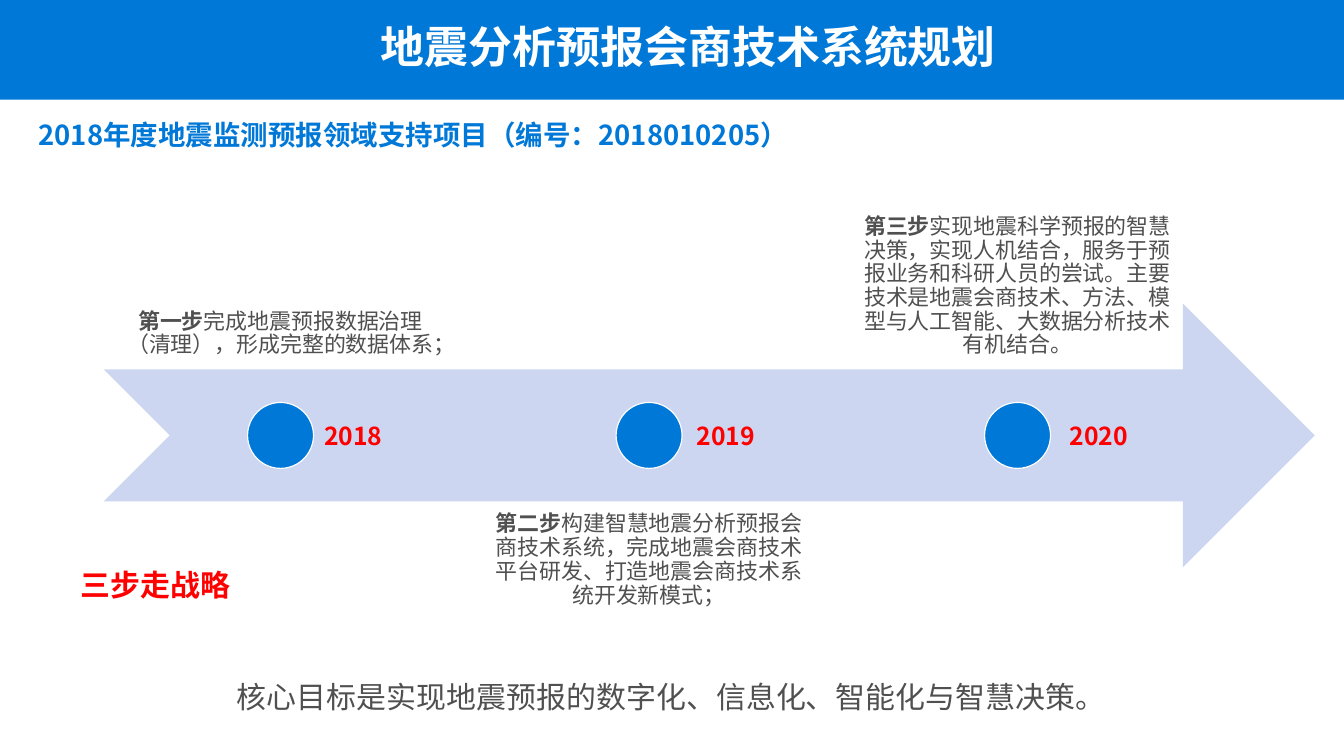
from pptx import Presentation
from pptx.dml.color import RGBColor
from pptx.enum.shapes import MSO_SHAPE
from pptx.enum.text import MSO_ANCHOR, MSO_AUTO_SIZE, PP_ALIGN
from pptx.oxml.ns import qn
from pptx.util import Cm, Pt
from lxml import etree

RECT, OVAL = MSO_SHAPE.RECTANGLE, MSO_SHAPE.OVAL
ARROW = MSO_SHAPE.NOTCHED_RIGHT_ARROW
TOP, BOTTOM = MSO_ANCHOR.TOP, MSO_ANCHOR.BOTTOM
LEFT, CENTER = PP_ALIGN.LEFT, PP_ALIGN.CENTER
GROW = MSO_AUTO_SIZE.SHAPE_TO_FIT_TEXT

FONT = "Noto Sans CJK SC"
BLUE, PALE, GRAY, RED, WHITE = "0078D7", "CCD6F0", "505050", "FF0000", "FFFFFF"

WIDTH, HEIGHT = 34.54, 19.43
STEPS = [
    ("2018", "第一步", "完成地震预报数据治理（清理），形成完整的数据体系；"),
    ("2019", "第二步", "构建智慧地震分析预报会商技术系统，完成地震会商技术平台研发、"
     "打造地震会商技术系统开发新模式；"),
    ("2020", "第三步", "实现地震科学预报的智慧决策，实现人机结合，服务于预报业务和"
     "科研人员的尝试。主要技术是地震会商技术、方法、模型与人工智能、"
     "大数据分析技术有机结合。"),
]


def color(code):
    return RGBColor.from_string(code)


def add_form(slide, kind, box, fill, line=None):
    form = slide.shapes.add_shape(kind, *map(Cm, box))
    form.shadow.inherit = False
    form.fill.solid()
    form.fill.fore_color.rgb = color(fill)
    if line:
        form.line.color.rgb = color(line)
        form.line.width = Pt(0.85)
    else:
        form.line.fill.background()


def add_text(slide, box, runs, size, tint, align=LEFT, wrap=True):
    """Add a one-paragraph text box; runs are (text, bold) pairs."""
    frame = slide.shapes.add_textbox(*map(Cm, box)).text_frame
    frame.word_wrap = wrap
    frame.auto_size = GROW
    para = frame.paragraphs[0]
    para.alignment = align
    for text, bold in runs:
        run = para.add_run()
        run.text = text
        font = run.font
        font.name, font.size, font.bold = FONT, Pt(size), bold
        font.color.rgb = color(tint)
        east = etree.SubElement(run._r.get_or_add_rPr(), qn("a:ea"))
        east.set("typeface", FONT)
    return frame


def add_header(slide, box):
    x, y, w, h = box
    add_form(slide, RECT, box, BLUE)
    add_text(slide, (x + 7.32, y + 0.38, 20.75, 1.63),
             [("地震分析预报会商技术系统规划", True)], 32, WHITE, CENTER)
    add_text(slide, (x + 0.74, y + h + 0.35, 20.62, 1.12),
             [("2018年度地震监测预报领域支持项目（编号：2018010205）", True)],
             20, BLUE, wrap=False)


def add_step(slide, box, label, note, above):
    """Place a dot in the middle of the arrow and its note above or below."""
    x, y, w, h = box
    dot = h / 4
    shift = -0.75 * h if above else 0.75 * h
    frame = add_text(slide, (x, y + shift, w, h),
                     [(label, True), (note, False)], 16, GRAY, CENTER)
    frame.auto_size = MSO_AUTO_SIZE.NONE
    frame.vertical_anchor = BOTTOM if above else TOP
    frame.margin_left = frame.margin_right = Cm(0.3)
    frame.margin_top = frame.margin_bottom = Cm(0.3)
    frame.paragraphs[0].line_spacing = 0.9
    add_form(slide, OVAL, (x + (w - dot) / 2, y + (h - dot) / 2, dot, dot),
             BLUE, WHITE)


def add_road(slide, box):
    x, y, w, h = box
    add_form(slide, ARROW, box, PALE)
    for i, (year, label, note) in enumerate(STEPS):
        add_step(slide, (x + 0.03 + 9.47 * i, y, 9.02, h),
                 label, note, i % 2 == 0)
        add_text(slide, (x + 5.41 + 9.58 * i, y + 2.9, 2.11, 1.02),
                 [(year, True)], 18, RED, wrap=False)


def add_footer(slide, box):
    x, y, w, h = box
    add_text(slide, (x + 1.83, y, 4.39, 1.19),
             [("三步走战略", True)], 21.8, RED, wrap=False)
    add_text(slide, (x + 5.84, y + 2.87, 23.6, 1.19),
             [("核心目标是实现地震预报的数字化、信息化、智能化与智慧决策。", False)],
             21.8, GRAY)


def main():
    deck = Presentation()
    deck.slide_width, deck.slide_height = Cm(WIDTH), Cm(HEIGHT)
    slide = deck.slides.add_slide(deck.slide_layouts[6])
    add_header(slide, (0, 0, WIDTH, 2.56))
    add_road(slide, (2.67, 7.8, 31.12, 6.78))
    add_footer(slide, (0, 14.45, WIDTH, 4.98))
    deck.save("out.pptx")


if __name__ == "__main__":
    main()
